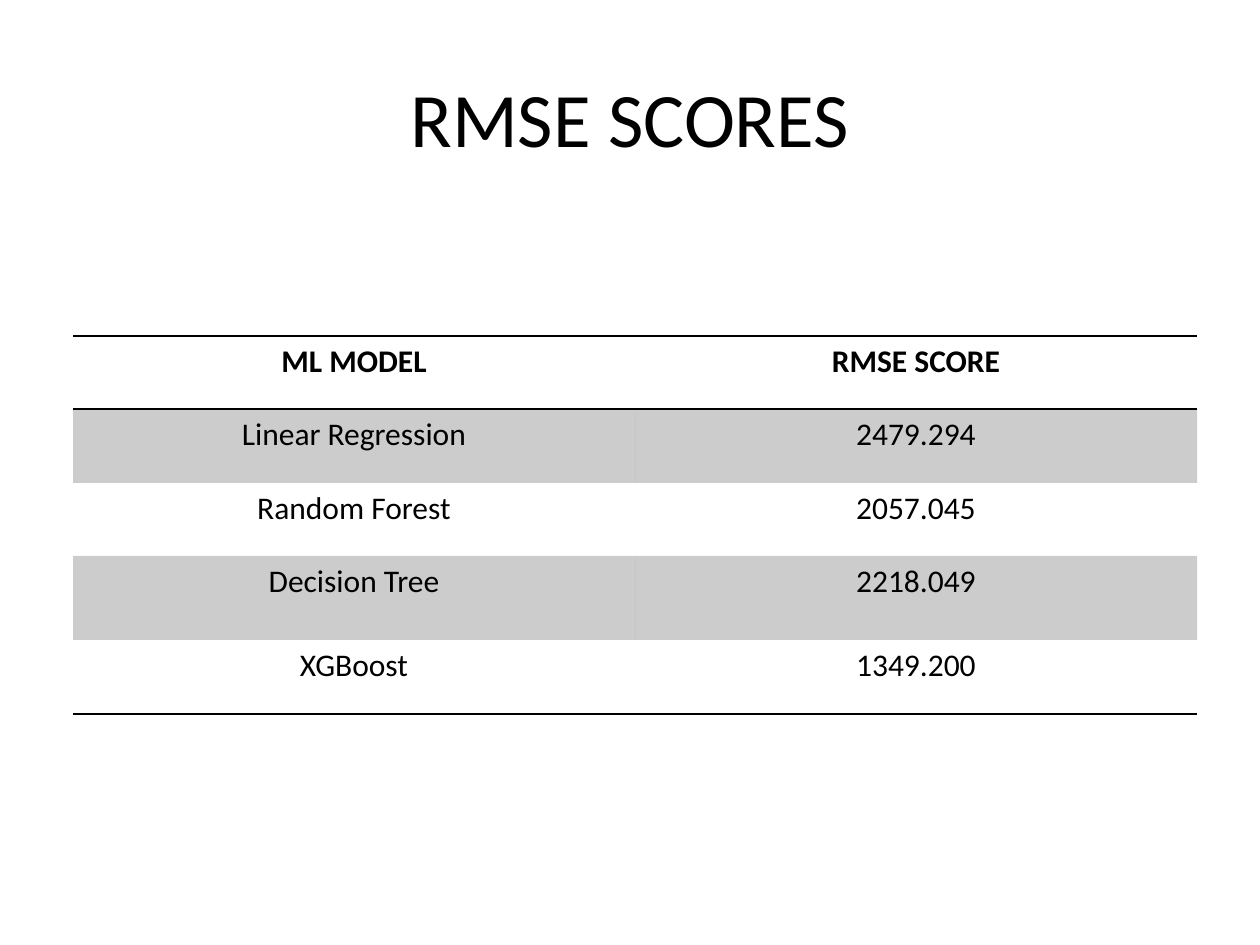
import lxml.etree
import pptx
import pptx.dml.color
import pptx.enum.text
import pptx.oxml.ns
import pptx.util

PX = 914400 / 126
FONT = "Calibri"
BLACK = pptx.dml.color.RGBColor(0, 0, 0)
BAND_ALPHA = 20
NO_STYLE = "{2D5ABB26-0587-4C30-8999-92F81FD0307C}"
qn = pptx.oxml.ns.qn

SCORES = [
    ("ML MODEL", "RMSE SCORE"),
    ("Linear Regression", "2479.294"),
    ("Random Forest", "2057.045"),
    ("Decision Tree", "2218.049"),
    ("XGBoost", "1349.200"),
]
ROW_HEIGHTS = [73, 74, 73, 84, 74]
COL_WIDTH = 562


def px(n):
    return pptx.util.Emu(round(n * PX))


def write_text(tf, text, size=18, bold=False, color=BLACK,
               align=pptx.enum.text.PP_ALIGN.CENTER):
    p = tf.paragraphs[0]
    p.alignment = align
    r = p.add_run()
    r.text = text
    r.font.name = FONT
    r.font.size = pptx.util.Pt(size)
    r.font.bold = bold
    r.font.color.rgb = color


def add_title(s, text, left, top, width, height):
    sp = s.shapes.title
    sp.left, sp.top, sp.width, sp.height = map(px, (left, top, width, height))
    sp.text_frame.vertical_anchor = pptx.enum.text.MSO_ANCHOR.MIDDLE
    write_text(sp.text_frame, text, size=44)


def add_border(cell, side):
    tcPr = cell._tc.get_or_add_tcPr()
    ln = lxml.etree.SubElement(tcPr, qn("a:ln" + side), w=str(pptx.util.Pt(1)))
    fill = lxml.etree.SubElement(ln, qn("a:solidFill"))
    lxml.etree.SubElement(fill, qn("a:srgbClr"), val=str(BLACK))


def fill_band(cell):
    cell.fill.solid()
    cell.fill.fore_color.rgb = BLACK
    clr = cell._tc.tcPr.find(".//" + qn("a:solidFill") + "/" + qn("a:srgbClr"))
    lxml.etree.SubElement(clr, qn("a:alpha"), val=str(BAND_ALPHA * 1000))


def add_score_table(s, left, top):
    rows, cols = len(SCORES), len(SCORES[0])
    frame = s.shapes.add_table(rows, cols, px(left), px(top),
                               px(cols * COL_WIDTH), px(sum(ROW_HEIGHTS)))
    table = frame.table
    table._tbl.tblPr.find(qn("a:tableStyleId")).text = NO_STYLE
    for col in table.columns:
        col.width = px(COL_WIDTH)
    for i, (values, height) in enumerate(zip(SCORES, ROW_HEIGHTS)):
        table.rows[i].height = px(height)
        for j, value in enumerate(values):
            cell = table.cell(i, j)
            write_text(cell.text_frame, value, bold=i == 0)
            if i == 0:
                add_border(cell, "T")
            if i in (0, rows - 1):
                add_border(cell, "B")
            if i % 2:
                fill_band(cell)
            else:
                cell.fill.background()


def main():
    prs = pptx.Presentation()
    prs.slide_width, prs.slide_height = px(1260), px(945)
    s = prs.slides.add_slide(prs.slide_layouts[5])
    add_title(s, "RMSE SCORES", 63, 38, 1134, 157)
    add_score_table(s, 73, 336)
    prs.save("out.pptx")


if __name__ == "__main__":
    main()
